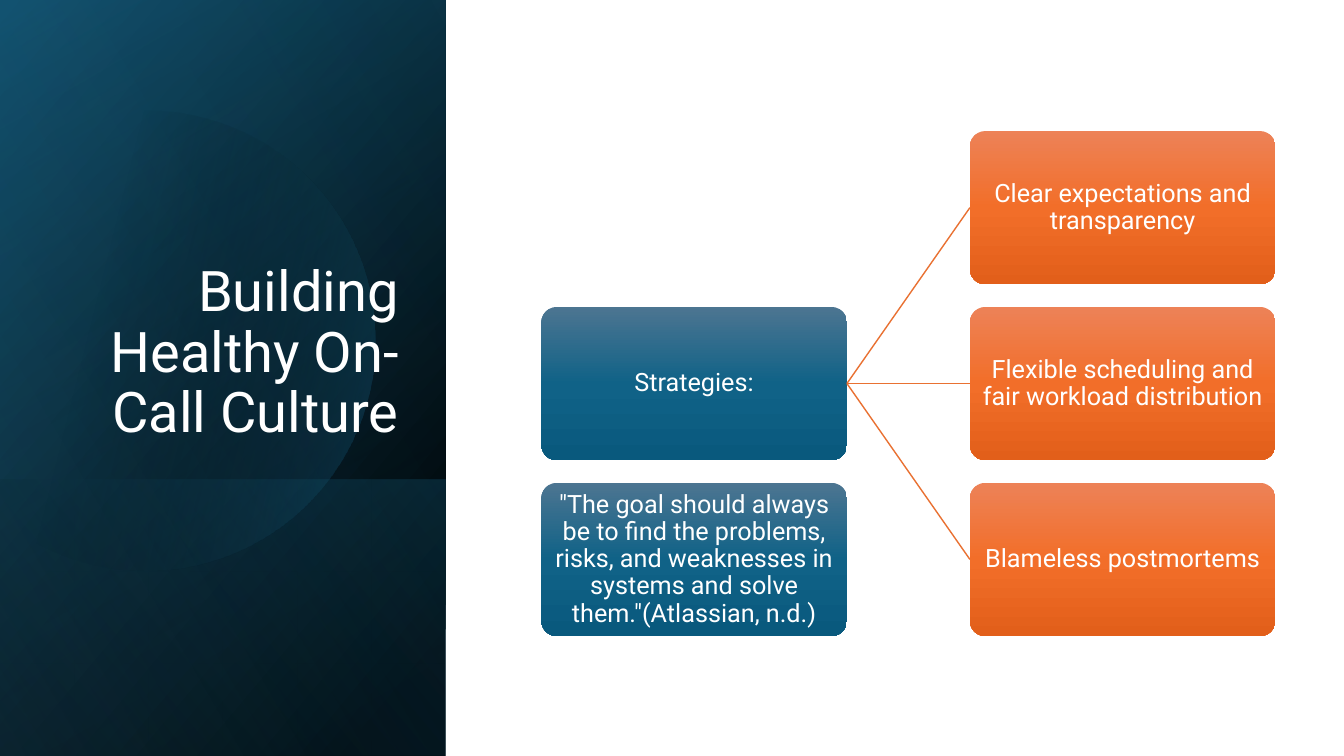
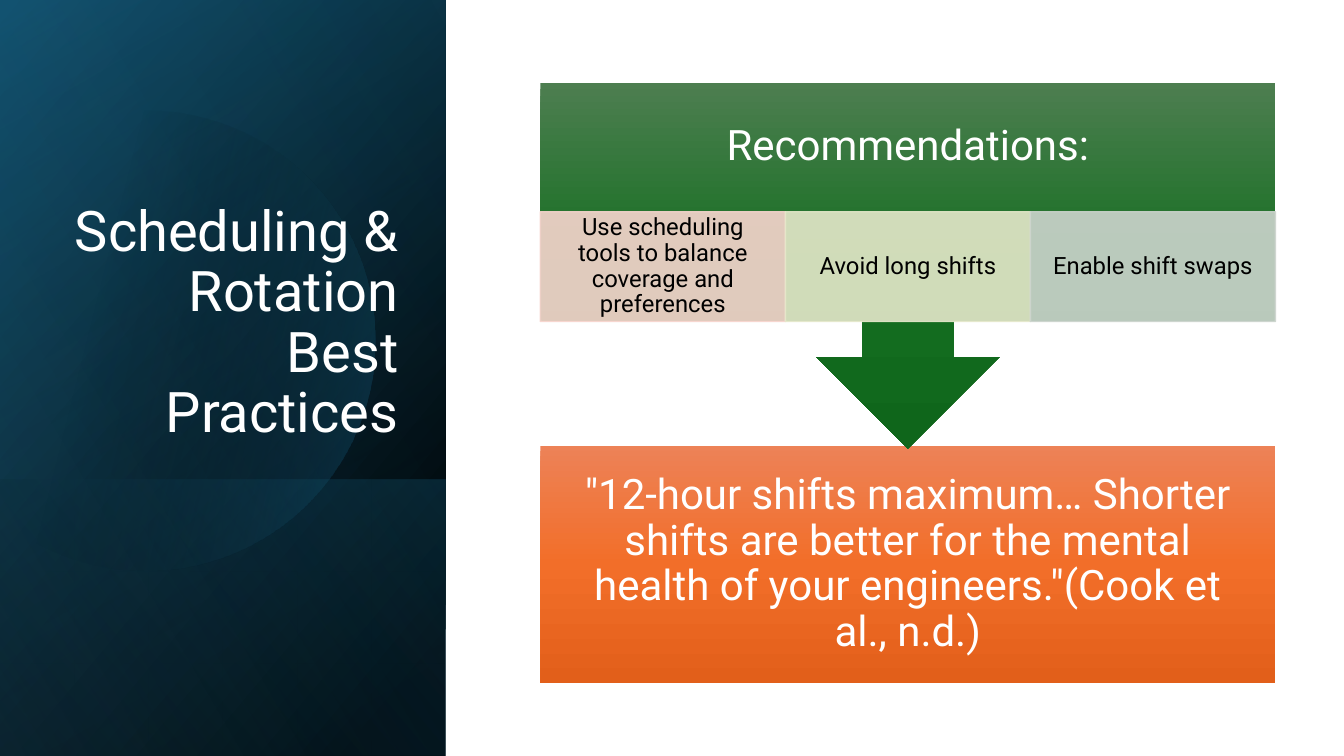
import math
from dataclasses import dataclass

from lxml import etree
from pptx import Presentation
from pptx.dml.color import RGBColor
from pptx.enum import shapes, text
from pptx.oxml.ns import qn
from pptx.util import Inches, Pt

FONT = "Roboto"
WHITE, BLACK, ORANGE_LINE = "FFFFFF", "000000", "E97132"
SLIDE_WIDTH, SLIDE_HEIGHT, BAND_WIDTH = 13.33, 7.5, 4.42


@dataclass(frozen=True)
class Stop:
    position: int
    color: str
    opacity: int = 100


@dataclass(frozen=True)
class Gradient:
    stops: tuple[Stop, ...]
    angle: int = 90


@dataclass(frozen=True)
class BandLayer:
    top: float
    height: float
    gradient: Gradient


@dataclass(frozen=True)
class Area:
    left: float
    top: float
    width: float
    height: float

    def lengths(self) -> tuple:
        return tuple(Inches(n) for n in (self.left, self.top, self.width, self.height))


@dataclass(frozen=True)
class TextStyle:
    size: int
    color: str = WHITE
    align: text.PP_ALIGN = text.PP_ALIGN.CENTER
    anchor: text.MSO_ANCHOR = text.MSO_ANCHOR.MIDDLE
    insets: tuple[float, float, float, float] = (0.06, 0.06, 0.06, 0.06)


def vertical(top: str, middle: str, bottom: str) -> Gradient:
    return Gradient((Stop(0, top), Stop(50, middle), Stop(100, bottom)))


BLUE = vertical("4C7591", "106287", "09597D")
ORANGE = vertical("ED8257", "F26E29", "E25F1A")
GREEN = vertical("4D7E50", "156F21", "0F661B")

# Left band, from back to front; the disc lies below the sheen
BAND_LAYERS = (
    BandLayer(0, SLIDE_HEIGHT, Gradient((Stop(8, BLACK), Stop(100, "104862")), 50)),
    BandLayer(0, SLIDE_HEIGHT, Gradient((Stop(0, BLACK, 0), Stop(99, "156082", 46)), 30)),
    BandLayer(4.76, 2.74, Gradient((Stop(2, "156082", 29), Stop(100, BLACK, 30)), 130)),
)
DISC = Gradient((Stop(29, BLACK, 0), Stop(100, "156082", 43)), 14)
SHEEN = BandLayer(0, SLIDE_HEIGHT, Gradient((Stop(0, BLACK, 0), Stop(99, "46B1E1", 11)), 120))

TITLE_AREA = Area(0.64, 1.84, 3.41, 2.62)
TITLE_STYLE = TextStyle(40, align=text.PP_ALIGN.RIGHT, anchor=text.MSO_ANCHOR.BOTTOM,
                        insets=(0.1, 0.05, 0.1, 0.05))
CARD_STYLE = TextStyle(18)
TILE_STYLE = TextStyle(17, BLACK, insets=(0.13, 0.02, 0.13, 0.02))
QUOTE_STYLE = TextStyle(30, insets=(0.23, 0.23, 0.23, 0.23))
HEADING_STYLE = TextStyle(30, insets=(0.23, 0.23, 0.23, 1.31))


def rgb(color: str) -> RGBColor:
    return RGBColor.from_string(color)


def set_opacity(parent, opacity: int) -> None:
    for color in parent.iter(qn("a:srgbClr")):
        etree.SubElement(color, qn("a:alpha"), val=str(opacity * 1000))


def fill_gradient(shape, gradient: Gradient) -> None:
    shape.fill.gradient()
    element = shape._element.spPr.find(qn("a:gradFill"))
    stop_list = element.find(qn("a:gsLst"))
    for old_stop in list(stop_list):
        stop_list.remove(old_stop)
    for stop in gradient.stops:
        item = etree.SubElement(stop_list, qn("a:gs"), pos=str(stop.position * 1000))
        etree.SubElement(item, qn("a:srgbClr"), val=stop.color)
        if stop.opacity < 100:
            set_opacity(item, stop.opacity)
    element.find(qn("a:lin")).set("ang", str(gradient.angle * 60000))


def add_block(page, kind: shapes.MSO_SHAPE, area: Area, gradient: Gradient | None = None):
    shape = page.shapes.add_shape(kind, *area.lengths())
    shape.shadow.inherit = False
    shape.line.fill.background()
    if gradient:
        fill_gradient(shape, gradient)
    return shape


def write(box, words: str, style: TextStyle) -> None:
    frame = box.text_frame
    frame.word_wrap = True
    frame.vertical_anchor = style.anchor
    (frame.margin_left, frame.margin_top,
     frame.margin_right, frame.margin_bottom) = map(Inches, style.insets)
    para = frame.paragraphs[0]
    para.alignment = style.align
    para.line_spacing = 0.9
    span = para.add_run()
    span.text = words
    span.font.name = FONT
    span.font.size = Pt(style.size)
    span.font.color.rgb = rgb(style.color)


# Shared page parts
def add_band_layer(page, layer: BandLayer) -> None:
    center_y = layer.top + layer.height / 2
    area = Area((BAND_WIDTH - layer.height) / 2, center_y - BAND_WIDTH / 2,
                layer.height, BAND_WIDTH)
    shape = add_block(page, shapes.MSO_SHAPE.RECTANGLE, area, layer.gradient)
    shape.rotation = 90
    shape._element.spPr.xfrm.set("flipH", "1")


def add_disc(page) -> None:
    center_x, center_y, radius, steps = 1.44, 3.38, 2.28, 90
    reach = math.acos(-center_x / radius)  # the arc stops at the slide's left edge
    angles = [reach * (2 * step / steps - 1) for step in range(steps + 1)]
    points = [(Inches(center_x + radius * math.cos(a)),
               Inches(center_y + radius * math.sin(a))) for a in angles]
    builder = page.shapes.build_freeform(*points[0])
    builder.add_line_segments(points[1:], close=True)
    disc = builder.convert_to_shape()
    disc.shadow.inherit = False
    disc.line.fill.background()
    fill_gradient(disc, DISC)


def add_page(deck, title: str):
    page = deck.slides.add_slide(deck.slide_layouts[6])
    for layer in BAND_LAYERS:
        add_band_layer(page, layer)
    add_disc(page)
    add_band_layer(page, SHEEN)
    write(page.shapes.add_textbox(*TITLE_AREA.lengths()), title, TITLE_STYLE)
    return page


# Strategy tree
def add_card(page, column: int, row: int, words: str, gradient: Gradient):
    width, height = 3.03, 1.52
    area = Area(5.37 + column * 4.25, 1.3 + row * 1.745, width, height)
    card = add_block(page, shapes.MSO_SHAPE.ROUNDED_RECTANGLE, area, gradient)
    card.adjustments[0] = 0.1
    write(card, words, CARD_STYLE)
    return card


def add_branch(page, root, leaf) -> None:
    branch = page.shapes.add_connector(shapes.MSO_CONNECTOR.STRAIGHT, 0, 0, 0, 0)
    branch.begin_connect(root, 3)
    branch.end_connect(leaf, 1)
    branch.line.color.rgb = rgb(ORANGE_LINE)
    branch.line.width = Pt(1)
    etree.SubElement(branch._element.spPr, qn("a:effectLst"))


def build_culture(deck) -> None:
    page = add_page(deck, "Building Healthy On-Call Culture")
    root = add_card(page, 0, 1, "Strategies:", BLUE)
    strategies = (
        "Clear expectations and transparency",
        "Flexible scheduling and fair workload distribution",
        "Blameless postmortems",
    )
    for row, words in enumerate(strategies):
        add_branch(page, root, add_card(page, 1, row, words, ORANGE))
    add_card(page, 0, 2, '"The goal should always be to find the problems, risks, and weaknesses '
             'in systems and solve them."(Atlassian, n.d.)', BLUE)


# Recommendations and quote
def build_scheduling(deck) -> None:
    page = add_page(deck, "Scheduling & Rotation Best Practices")
    left, width, tile_width = 5.36, 7.29, 2.43
    quote = add_block(page, shapes.MSO_SHAPE.RECTANGLE, Area(left, 4.42, width, 2.36), ORANGE)
    write(quote, '"12-hour shifts maximum… Shorter shifts are better for the mental health '
          'of your engineers."(Cook et al., n.d.)', QUOTE_STYLE)
    callout = add_block(page, shapes.MSO_SHAPE.DOWN_ARROW_CALLOUT,
                        Area(left, 0.82, width, 3.63), GREEN)
    write(callout, "Recommendations:", HEADING_STYLE)
    tiles = (
        ("Use scheduling tools to balance coverage and preferences", "F7D5CE"),
        ("Avoid long shifts", "E5E8CA"),
        ("Enable shift swaps", "CCD4CD"),
    )
    for column, (words, color) in enumerate(tiles):
        area = Area(left + column * tile_width, 2.1, tile_width, 1.09)
        tile = add_block(page, shapes.MSO_SHAPE.RECTANGLE, area)
        tile.fill.solid()
        tile.fill.fore_color.rgb = rgb(color)
        tile.line.color.rgb = rgb(color)
        tile.line.width = Pt(1)
        set_opacity(tile._element.spPr, 90)
        write(tile, words, TILE_STYLE)


def main() -> None:
    deck = Presentation()
    deck.slide_width, deck.slide_height = Inches(SLIDE_WIDTH), Inches(SLIDE_HEIGHT)
    build_culture(deck)
    build_scheduling(deck)
    deck.save("out.pptx")


if __name__ == "__main__":
    main()
